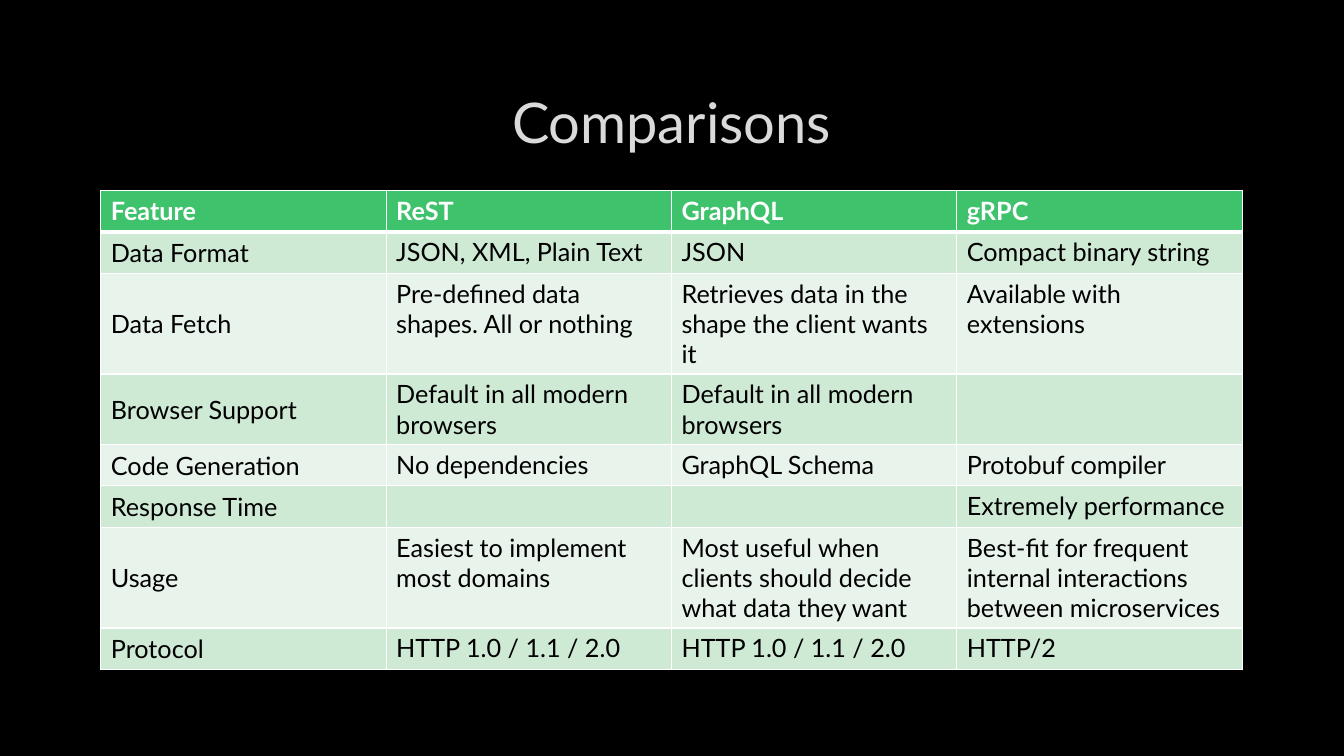
from dataclasses import dataclass

import pptx
import pptx.dml.color
import pptx.enum.text
import pptx.oxml
import pptx.oxml.ns
import pptx.util
from pptx.util import Inches

ANCHOR = pptx.enum.text.MSO_ANCHOR
NS = pptx.oxml.ns.nsdecls("a")


@dataclass
class Feature:
    name: str
    rest: str
    graphql: str
    grpc: str


HEADER = Feature("Feature", "ReST", "GraphQL", "gRPC")
FEATURES = [
    Feature("Data Format", "JSON, XML, Plain Text", "JSON", "Compact binary string"),
    Feature("Data Fetch", "Pre-defined data shapes. All or nothing",
            "Retrieves data in the shape the client wants it", "Available with extensions"),
    Feature("Browser Support", "Default in all modern browsers",
            "Default in all modern browsers", ""),
    Feature("Code Generation", "No dependencies", "GraphQL Schema", "Protobuf compiler"),
    Feature("Response Time", "", "", "Extremely performance"),
    Feature("Usage", "Easiest to implement most domains",
            "Most useful when clients should decide what data they want",
            "Best-fit for frequent internal interactions between microservices"),
    Feature("Protocol", "HTTP 1.0 / 1.1 / 2.0", "HTTP 1.0 / 1.1 / 2.0", "HTTP/2"),
]
HEADER_FILL = "3EC26C"
BAND_FILLS = ["CEE9D4", "E8F4EB"]


def rgb(value: str) -> pptx.dml.color.RGBColor:
    return pptx.dml.color.RGBColor.from_string(value)


def add_run(p, text: str, color: str, size: float, bold: bool = False):
    r = p.add_run()
    r.text = text
    formats = {"name": "Lato", "size": pptx.util.Pt(size), "bold": bold}
    for key, value in formats.items():
        setattr(r.font, key, value)
    r.font.color.rgb = rgb(color)
    return r


def set_borders(cell, widths: dict[str, float]) -> None:
    tc_pr = cell._tc.get_or_add_tcPr()
    for side, width in widths.items():
        tc_pr.append(pptx.oxml.parse_xml(
            f'<a:ln{side} {NS} w="{pptx.util.Pt(width)}"><a:solidFill>'
            f'<a:srgbClr val="FFFFFF"/></a:solidFill></a:ln{side}>'))


def fill_row(tbl, row: int, feature: Feature) -> None:
    is_header = row == 0
    fill = HEADER_FILL if is_header else BAND_FILLS[(row - 1) % 2]
    color = "FFFFFF" if is_header else "000000"
    widths = {"L": 1, "R": 1, "T": 3 if row == 1 else 1, "B": 3 if is_header else 1}
    texts = [feature.name, feature.rest, feature.graphql, feature.grpc]
    for col, text in enumerate(texts):
        cell = tbl.cell(row, col)
        set_borders(cell, widths)
        cell.fill.solid()
        cell.fill.fore_color.rgb = rgb(fill)
        if col == 0 and not is_header:
            cell.vertical_anchor = ANCHOR.MIDDLE
        if text:
            add_run(cell.text_frame.paragraphs[0], text, color, 18, is_header)


def add_title(s, text: str) -> None:
    sp = s.shapes.title
    box = {"left": 1, "top": 0.67, "width": 11.32, "height": 1.06}
    for key, value in box.items():
        setattr(sp, key, Inches(value))
    tf = sp.text_frame
    tf.vertical_anchor = ANCHOR.MIDDLE
    p = tf.paragraphs[0]
    p.alignment = pptx.enum.text.PP_ALIGN.CENTER
    r = add_run(p, text, "DADADA", 40)
    # Faint text outline
    r.font._element.insert(0, pptx.oxml.parse_xml(
        f'<a:ln {NS} w="{pptx.util.Pt(0.75)}"><a:solidFill><a:srgbClr val="404040">'
        '<a:alpha val="10000"/></a:srgbClr></a:solidFill></a:ln>'))


def add_comparison(s) -> None:
    rows = [HEADER, *FEATURES]
    row_height = Inches(0.41)
    tbl = s.shapes.add_table(len(rows), 4, Inches(1), Inches(1.89),
                             Inches(11.32), row_height * len(rows)).table
    for column in tbl.columns:
        column.width = Inches(2.83)
    for i, feature in enumerate(rows):
        tbl.rows[i].height = row_height
        fill_row(tbl, i, feature)


def main() -> None:
    prs = pptx.Presentation()
    prs.slide_width, prs.slide_height = Inches(13.33), Inches(7.5)
    s = prs.slides.add_slide(prs.slide_layouts[5])

    # Background
    s.background.fill.solid()
    s.background.fill.fore_color.rgb = rgb("000000")

    # Title and table
    add_title(s, "Comparisons")
    add_comparison(s)
    prs.save("out.pptx")


if __name__ == "__main__":
    main()
